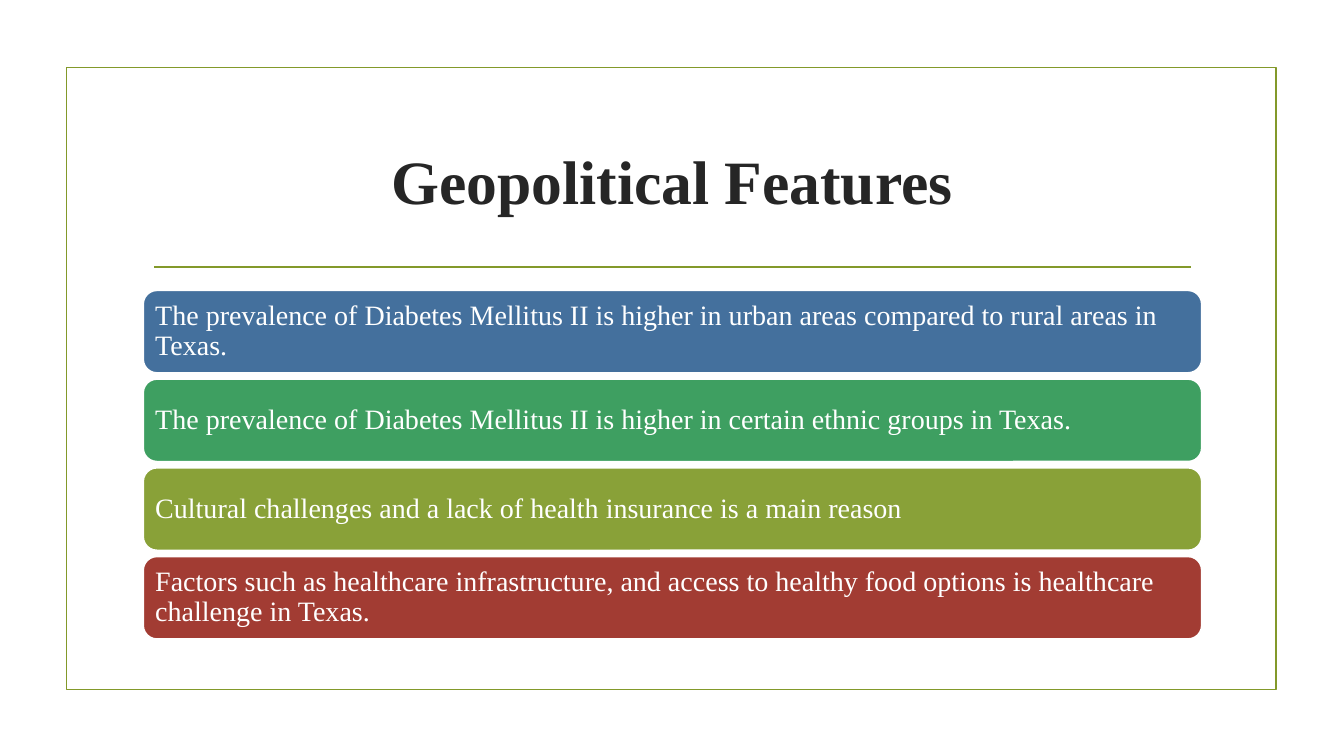
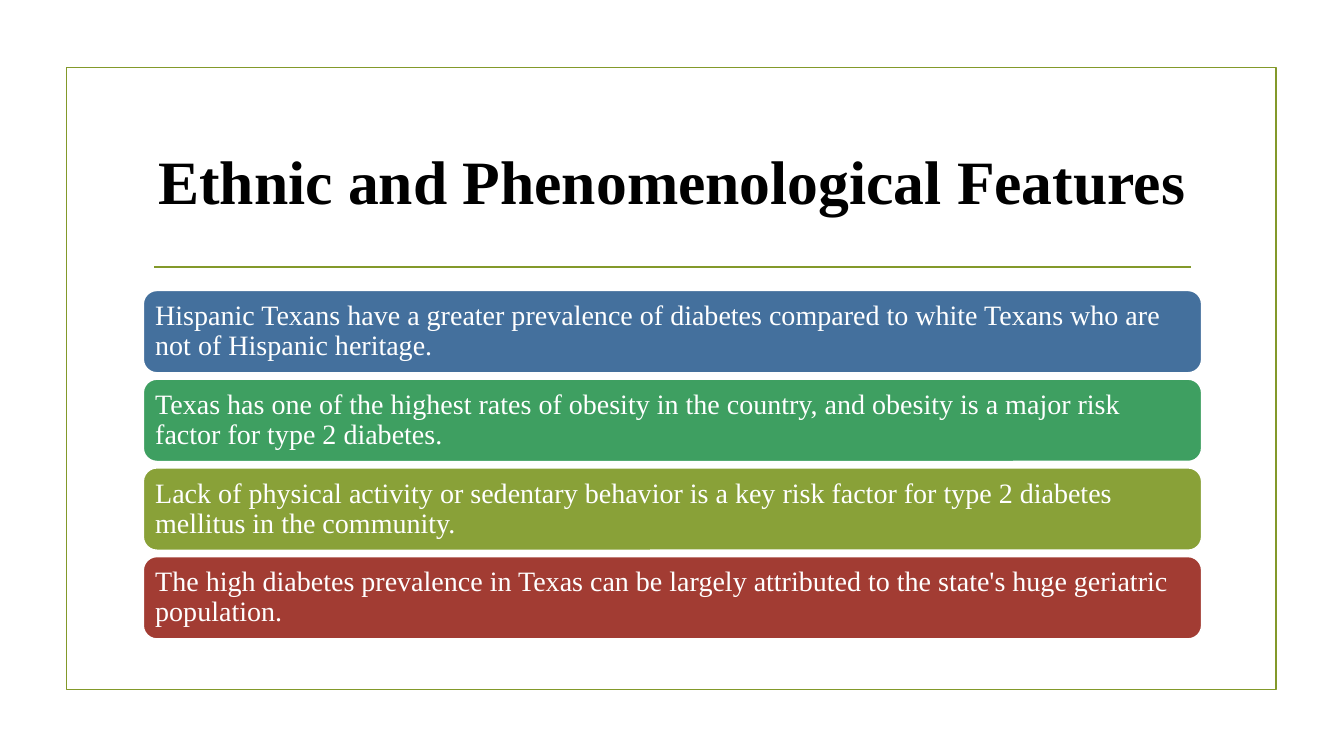
from pptx import Presentation
from pptx.dml.color import RGBColor
from pptx.enum.shapes import MSO_CONNECTOR as Link, MSO_SHAPE as Shape
from pptx.enum.text import MSO_ANCHOR as Anchor, MSO_AUTO_SIZE as Fit, PP_ALIGN as Align
from pptx.oxml.ns import qn
from pptx.util import Inches, Pt
from lxml.etree import SubElement

FONT = "Times New Roman"
WHITE = RGBColor(0xFF, 0xFF, 0xFF)
BLACK = RGBColor(0x00, 0x00, 0x00)
DARK = RGBColor(0x26, 0x26, 0x26)
OLIVE = RGBColor(0x83, 0x99, 0x2A)
FILLS = (RGBColor(0x44, 0x70, 0x9D), RGBColor(0x3E, 0x9F, 0x61),
         RGBColor(0x89, 0xA1, 0x38), RGBColor(0xA2, 0x3C, 0x33))

# Boxes are left, top, width, height in inches
SIZE = (13.33, 7.5)
FRAME = (0.66, 0.67, 12, 6.17)
HEAD = (1.42, 1.07, 10.5, 1.43)
RULE = (1.53, 2.65, 10.28, 0)
BODY = (1.42, 2.88, 10.5, 3.46)
GAP = 0.06
INSET = 0.08

SLIDES = (
    ("Geopolitical Features", DARK, (
        "The prevalence of Diabetes Mellitus II is higher in urban areas compared to rural areas in Texas.",
        "The prevalence of Diabetes Mellitus II is higher in certain ethnic groups in Texas.",
        "Cultural challenges and a lack of health insurance is a main reason",
        "Factors such as healthcare infrastructure, and access to healthy food options is healthcare challenge in Texas.",
    )),
    ("Ethnic and Phenomenological Features", BLACK, (
        "Hispanic Texans have a greater prevalence of diabetes compared to white Texans who are not of Hispanic heritage.",
        "Texas has one of the highest rates of obesity in the country, and obesity is a major risk factor for type 2 diabetes.",
        "Lack of physical activity or sedentary behavior is a key risk factor for type 2 diabetes mellitus in the community.",
        "The high diabetes prevalence in Texas can be largely attributed to the state's huge geriatric population.",
    )),
)


def emus(box):
    return [Inches(side) for side in box]


def stroke(item, color):
    item.line.color.rgb = color
    item.line.width = Pt(1.25)


def write(shape, text, size, color, align, bold=False):
    frame = shape.text_frame
    frame.word_wrap = True
    frame.auto_size = Fit.NONE
    frame.vertical_anchor = Anchor.MIDDLE
    para = frame.paragraphs[0]
    para.alignment = align
    run = para.add_run()
    run.text = text
    font = run.font
    font.name, font.size, font.bold = FONT, Pt(size), bold
    font.color.rgb = color
    return frame, para


def add_frame(slide, box, rule):
    """Draw the outline and the line under the title."""
    rect = slide.shapes.add_shape(Shape.RECTANGLE, *emus(box))
    rect.shadow.inherit = False
    rect.fill.background()
    stroke(rect, OLIVE)
    left, top, width, height = emus(rule)
    line = slide.shapes.add_connector(
        Link.STRAIGHT, left, top, left + width, top + height)
    stroke(line, OLIVE)
    SubElement(line._element.spPr, qn("a:effectLst"))


def add_title(slide, box, text, color):
    title = slide.shapes.title
    title.left, title.top, title.width, title.height = emus(box)
    write(title, text, 44, color, Align.CENTER, bold=True)


def add_bar(slide, box, text, fill):
    bar = slide.shapes.add_shape(Shape.ROUNDED_RECTANGLE, *emus(box))
    bar.shadow.inherit = False
    bar.fill.solid()
    bar.fill.fore_color.rgb = fill
    stroke(bar, WHITE)
    frame, para = write(bar, text, 20, WHITE, Align.LEFT)
    para.line_spacing = 0.9
    frame.margin_left = frame.margin_right = Inches(INSET)
    frame.margin_top = frame.margin_bottom = Inches(INSET)


def add_bars(slide, box, texts):
    """Stack equal bars that fill the box."""
    left, top, width, height = box
    step = (height + GAP) / len(texts)
    for row, (text, fill) in enumerate(zip(texts, FILLS)):
        add_bar(slide, (left, top + row * step, width, step - GAP), text, fill)


def main():
    deck = Presentation()
    deck.slide_width, deck.slide_height = emus(SIZE)
    layout = deck.slide_layouts.get_by_name("Title Only")
    for title, color, texts in SLIDES:
        slide = deck.slides.add_slide(layout)
        add_frame(slide, FRAME, RULE)
        add_title(slide, HEAD, title, color)
        add_bars(slide, BODY, texts)
    deck.save("out.pptx")


if __name__ == "__main__":
    main()
